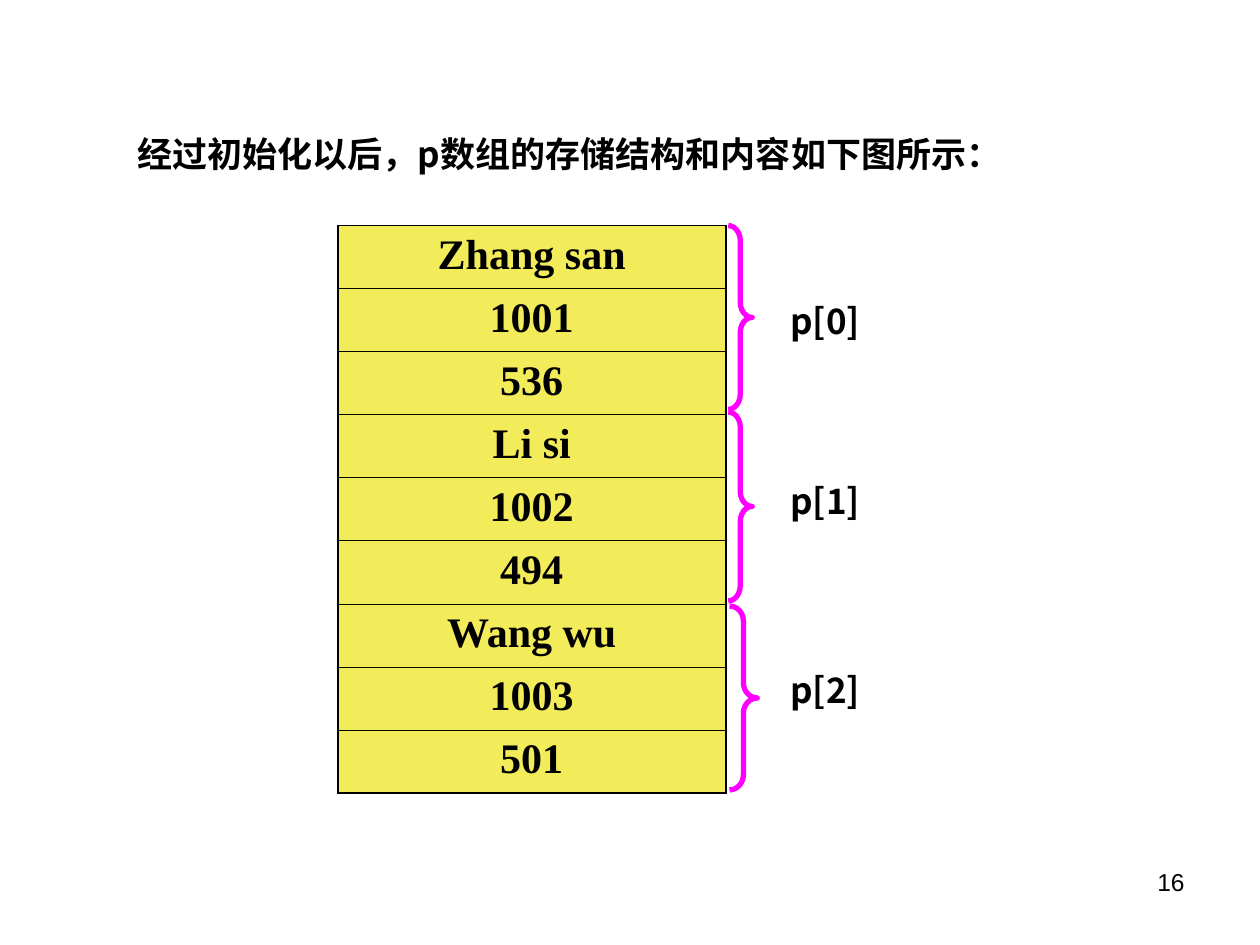
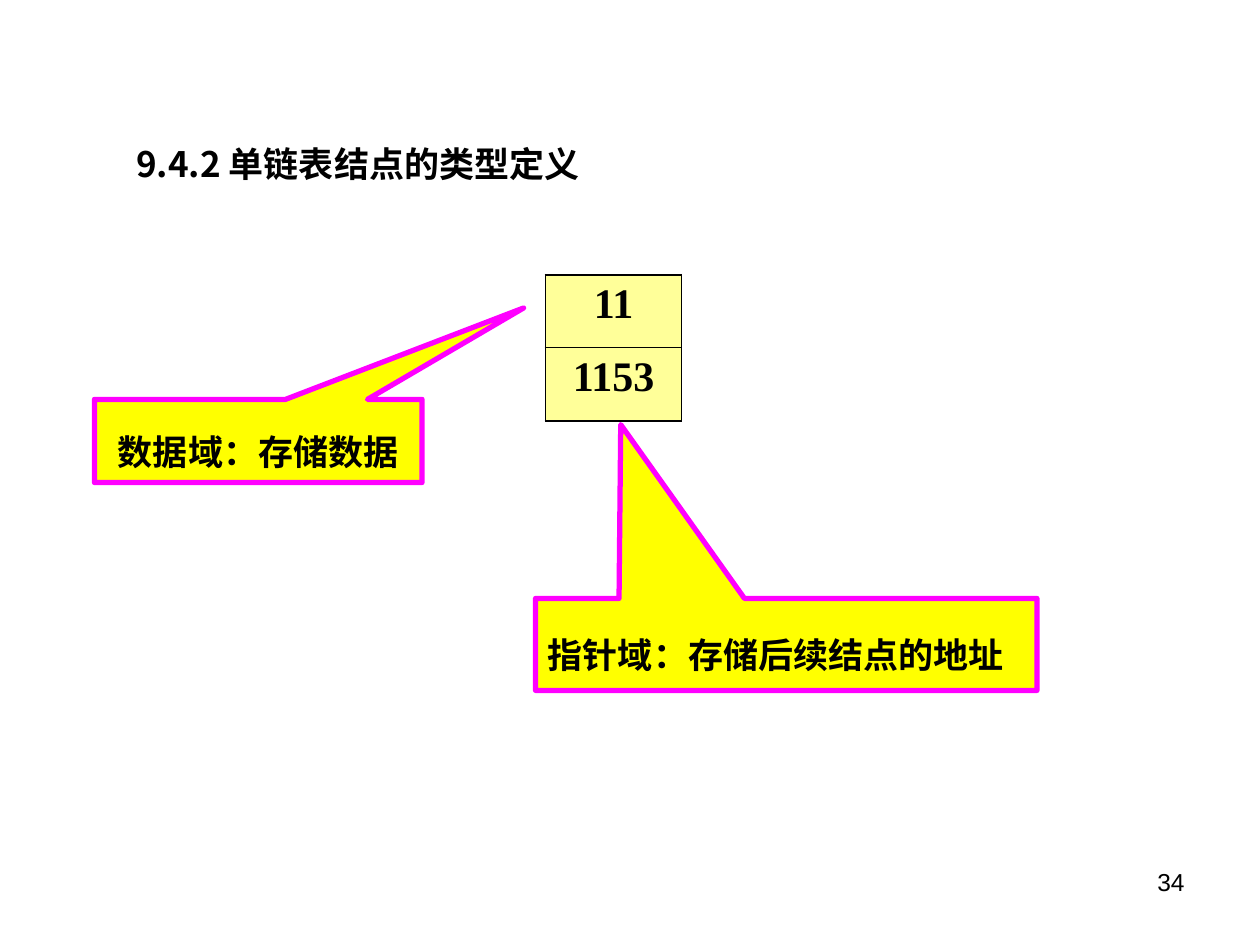
from dataclasses import dataclass
from typing import NamedTuple

from lxml import etree
from pptx import Presentation
from pptx.dml.color import RGBColor
from pptx.enum.shapes import MSO_SHAPE
from pptx.enum.text import MSO_ANCHOR, MSO_AUTO_SIZE, PP_ALIGN
from pptx.oxml.ns import qn
from pptx.presentation import Presentation as Deck
from pptx.shapes.autoshape import Shape
from pptx.slide import Slide
from pptx.text.text import TextFrame
from pptx.util import Inches, Pt

LEFT, CENTER, RIGHT = PP_ALIGN.LEFT, PP_ALIGN.CENTER, PP_ALIGN.RIGHT
TOP, MIDDLE = MSO_ANCHOR.TOP, MSO_ANCHOR.MIDDLE
GROW = MSO_AUTO_SIZE.SHAPE_TO_FIT_TEXT
BRACE, CALLOUT = MSO_SHAPE.RIGHT_BRACE, MSO_SHAPE.RECTANGULAR_CALLOUT
TITLE_ONLY = 5
WIDTH, HEIGHT = Inches(10), Inches(7.5)
COLUMNS, ROWS = 100, 75


@dataclass(frozen=True)
class Theme:
    ink: str = "000000"
    accent: str = "FF00FF"
    callout: str = "FFFF00"
    array: str = "F2EB5A"
    node: str = "FFFF99"
    text_font: str = "Noto Sans CJK SC"
    cell_font: str = "Times New Roman"
    number_font: str = "Arial"
    text_size: float = 20
    cell_size: float = 24
    number_size: float = 14
    accent_line: float = 3
    outer_line: float = 1.08
    inner_line: float = 0.45


THEME = Theme()


class Area(NamedTuple):
    left: float
    top: float
    width: float
    height: float

    def lengths(self) -> tuple[int, int, int, int]:
        return (
            round(self.left * WIDTH / COLUMNS),
            round(self.top * HEIGHT / ROWS),
            round(self.width * WIDTH / COLUMNS),
            round(self.height * HEIGHT / ROWS),
        )


class Record(NamedTuple):
    name: str
    number: str
    score: str
    label: str
    label_top: float
    brace: Area


class Callout(NamedTuple):
    text: str
    area: Area
    tip: tuple[float, float]
    align: PP_ALIGN


NUMBER_AREA = Area(71.7, 68.3, 23.3, 5.2)
ARRAY_AREA = Area(26.8, 17.9, 30.8, 45)
NODE_AREA = Area(43.3, 21.8, 10.8, 11.6)
LABEL_LEFT, LABEL_WIDTH, LABEL_HEIGHT = 60.5, 10, 4.4
BRACE_CURVE = 1.2

RECORDS = [
    Record("Zhang san", "1001", "536", "p[0]", 23.3, Area(57.8, 17.9, 1.9, 14.6)),
    Record("Li si", "1002", "494", "p[1]", 37.6, Area(57.8, 32.7, 1.9, 15)),
    Record("Wang wu", "1003", "501", "p[2]", 52.6, Area(57.9, 48.1, 2.2, 14.6)),
]
CALLOUTS = [
    Callout("数据域：存储数据", Area(7.5, 31.7, 26, 6.6), (0.81, -1.6), CENTER),
    Callout("指针域：存储后续结点的地址", Area(42.5, 47.5, 39.8, 7.3), (-0.33, -2.39), LEFT),
]


def color(value: str) -> RGBColor:
    return RGBColor.from_string(value)


def write(frame: TextFrame, text: str, *, font: str = THEME.text_font,
          size: float = THEME.text_size, bold: bool = True,
          align: PP_ALIGN = LEFT, anchor: MSO_ANCHOR = TOP,
          spacing: float = 1.0) -> None:
    frame.word_wrap = True
    frame.vertical_anchor = anchor
    para = frame.paragraphs[0]
    para.alignment = align
    para.line_spacing = spacing
    span = para.add_run()
    span.text = text
    span.font.size = Pt(size)
    span.font.bold = bold
    span.font.color.rgb = color(THEME.ink)
    span.font.name = font
    east_asian = etree.SubElement(span.font._element, qn("a:ea"))
    east_asian.set("typeface", font)


def add_text(page: Slide, text: str, area: Area, **style) -> Shape:
    box = page.shapes.add_textbox(*area.lengths())
    write(box.text_frame, text, **style)
    return box


def add_page(deck: Deck, title: str, area: Area, number: int) -> Slide:
    page = deck.slides.add_slide(deck.slide_layouts[TITLE_ONLY])
    heading = page.shapes.title
    heading.left, heading.top, heading.width, heading.height = area.lengths()
    write(heading.text_frame, title)
    heading.text_frame.auto_size = GROW
    add_text(page, str(number), NUMBER_AREA, font=THEME.number_font,
             size=THEME.number_size, bold=False, align=RIGHT)
    return page


def add_border(cell, side: int, tag: str, width: float) -> None:
    line = etree.Element(qn(tag), w=str(Pt(width)))
    fill = etree.SubElement(line, qn("a:solidFill"))
    etree.SubElement(fill, qn("a:srgbClr"), val=THEME.ink)
    cell._tc.get_or_add_tcPr().insert(side, line)


def add_cells(page: Slide, values: list[str], area: Area, fill: str) -> None:
    table = page.shapes.add_table(len(values), 1, *area.lengths()).table
    table.first_row = table.horz_banding = False
    last = len(values) - 1
    for index, value in enumerate(values):
        cell = table.cell(index, 0)
        write(cell.text_frame, value, font=THEME.cell_font,
              size=THEME.cell_size, align=CENTER)
        cell.fill.solid()
        cell.fill.fore_color.rgb = color(fill)
        top = THEME.outer_line if index == 0 else THEME.inner_line
        bottom = THEME.outer_line if index == last else THEME.inner_line
        borders = {"a:lnL": THEME.outer_line, "a:lnR": THEME.outer_line,
                   "a:lnT": top, "a:lnB": bottom}
        for side, (tag, width) in enumerate(borders.items()):
            add_border(cell, side, tag, width)


def add_outlined(page: Slide, kind: MSO_SHAPE, area: Area) -> Shape:
    shape = page.shapes.add_shape(kind, *area.lengths())
    shape.shadow.inherit = False
    shape.fill.background()
    shape.line.color.rgb = color(THEME.accent)
    shape.line.width = Pt(THEME.accent_line)
    return shape


def add_record_mark(page: Slide, record: Record) -> None:
    brace = add_outlined(page, BRACE, record.brace)
    brace.adjustments[0] = BRACE_CURVE / record.brace.width
    area = Area(LABEL_LEFT, record.label_top, LABEL_WIDTH, LABEL_HEIGHT)
    label = add_text(page, record.label, area, align=CENTER)
    label.text_frame.auto_size = GROW


def add_callout(page: Slide, callout: Callout) -> None:
    shape = add_outlined(page, CALLOUT, callout.area)
    shape.fill.solid()
    shape.fill.fore_color.rgb = color(THEME.callout)
    shape.adjustments[0], shape.adjustments[1] = callout.tip
    write(shape.text_frame, callout.text, align=callout.align,
          anchor=MIDDLE, spacing=1.5)


def build_array_page(deck: Deck) -> None:
    page = add_page(deck, "经过初始化以后，p数组的存储结构和内容如下图所示：",
                    Area(9.9, 10, 73.2, 4.4), 16)
    values = [value for record in RECORDS
              for value in (record.name, record.number, record.score)]
    add_cells(page, values, ARRAY_AREA, THEME.array)
    for record in RECORDS:
        add_record_mark(page, record)


def build_node_page(deck: Deck) -> None:
    page = add_page(deck, "9.4.2 单链表结点的类型定义",
                    Area(9.8, 10.8, 47.2, 4.4), 34)
    add_cells(page, ["11", "1153"], NODE_AREA, THEME.node)
    for callout in CALLOUTS:
        add_callout(page, callout)


def main() -> None:
    deck = Presentation()
    deck.slide_width, deck.slide_height = WIDTH, HEIGHT
    build_array_page(deck)
    build_node_page(deck)
    deck.save("out.pptx")


if __name__ == "__main__":
    main()
